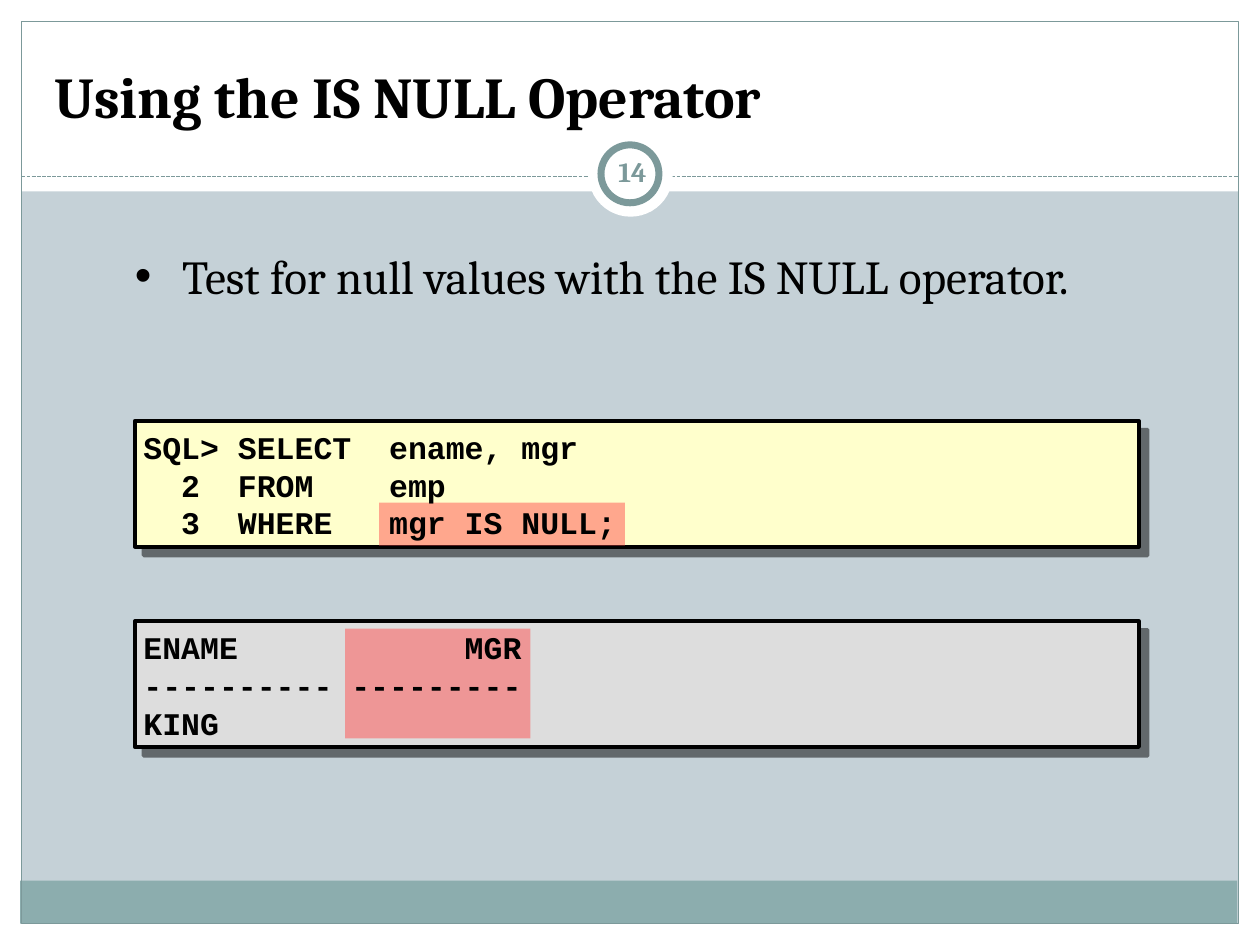
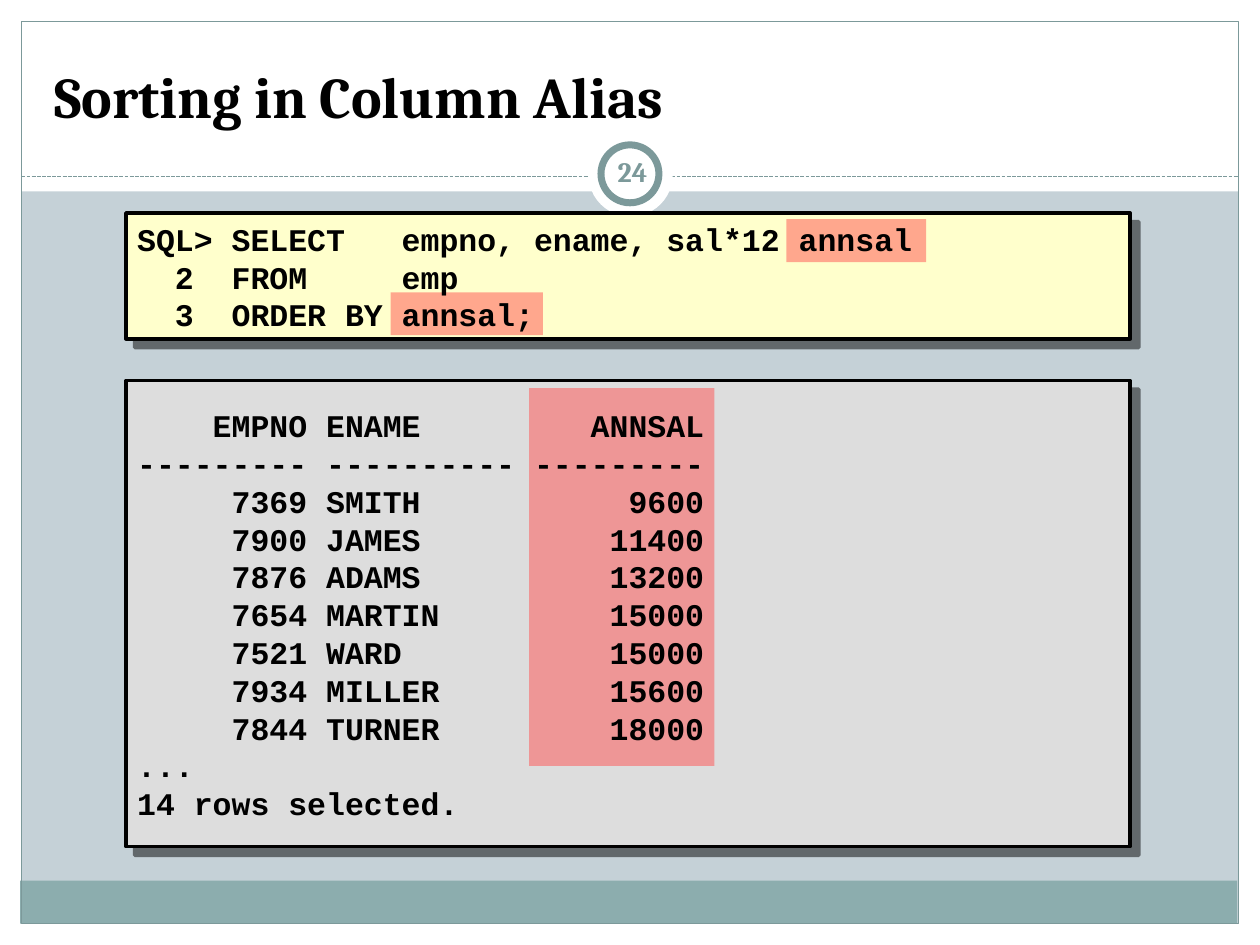
"""Build two SQL lesson slides: the IS NULL operator and sorting by a column alias."""
from lxml import etree
from pptx import Presentation
from pptx import util as u
from pptx.dml.color import RGBColor
from pptx.enum import dml, shapes, text
from pptx.oxml import ns

PAGE = RGBColor(0xC5, 0xD1, 0xD7)
WHITE = RGBColor(0xFF, 0xFF, 0xFF)
BLACK = RGBColor(0x00, 0x00, 0x00)
TEAL = RGBColor(0x7C, 0x99, 0x9A)
FOOTER = RGBColor(0x8C, 0xAD, 0xAE)
QUERY = RGBColor(0xFF, 0xFF, 0xCC)
RESULT = RGBColor(0xDD, 0xDD, 0xDD)
HIGHLIGHT = RGBColor(0xFF, 0x50, 0x50)
SERIF, MONO = "Cambria", "Courier New"
RECT, OVAL = shapes.MSO_SHAPE.RECTANGLE, shapes.MSO_SHAPE.OVAL
PANEL_WIDTH = 7.97


def add_block(slide, kind, box, fill=None, line=None, weight=0.75):
    block = slide.shapes.add_shape(kind, *map(u.Inches, box))
    block.shadow.inherit = False
    if fill is None:
        block.fill.background()
    else:
        block.fill.solid()
        block.fill.fore_color.rgb = fill
    if line is None:
        block.line.fill.background()
    else:
        block.line.color.rgb = line
        block.line.width = u.Pt(weight)
    return block


def write(frame, words, font, size, color, bold, anchor, align=text.PP_ALIGN.LEFT):
    frame.text = words
    frame.word_wrap = True
    frame.auto_size = text.MSO_AUTO_SIZE.NONE
    frame.vertical_anchor = anchor
    for paragraph in frame.paragraphs:
        paragraph.alignment = align
        paragraph.space_before = u.Pt(0)
        for run in paragraph.runs:
            run.font.name = font
            run.font.size = u.Pt(size)
            run.font.bold = bold
            run.font.color.rgb = color


lessons = [
    {
        "title": "Using the IS NULL Operator",
        "number": "14",
        "intro": "Test for null values with the IS NULL operator.",
        "panel_left": 1.07,
        "code_left": 1.04,
        "panels": [
            (3.34, 1, QUERY, [
                "SQL> SELECT  ename, mgr",
                "  2  FROM    emp",
                "  3  WHERE   mgr IS NULL;",
            ]),
            (4.93, 1, RESULT, [
                "ENAME            MGR",
                "---------- ---------",
                "KING",
            ]),
        ],
        "highlights": [(3.01, 3.99, 1.95, 0.34), (2.74, 4.99, 1.47, 0.87)],
    },
    {
        "title": "Sorting in Column Alias",
        "number": "24",
        "intro": None,
        "panel_left": 1,
        "code_left": 0.99,
        "panels": [
            (1.69, 1, QUERY, [
                "SQL> SELECT   empno, ename, sal*12 annsal",
                "  2  FROM     emp",
                "  3  ORDER BY annsal;",
            ]),
            (3.02, 3.7, RESULT, [
                "    EMPNO ENAME         ANNSAL",
                "--------- ---------- ---------",
                "     7369 SMITH           9600",
                "     7900 JAMES          11400",
                "     7876 ADAMS          13200",
                "     7654 MARTIN         15000",
                "     7521 WARD           15000",
                "     7934 MILLER         15600",
                "     7844 TURNER         18000",
                "...",
                "14 rows selected.",
            ]),
        ],
        "highlights": [(3.1, 2.32, 1.21, 0.34), (4.2, 3.08, 1.47, 3), (6.24, 1.74, 1.11, 0.34)],
    },
]

prs = Presentation()
prs.slide_width, prs.slide_height = u.Inches(10), u.Inches(7.5)
master = prs.slide_master
master.background.fill.solid()
master.background.fill.fore_color.rgb = PAGE
title_and_body, title_only = prs.slide_layouts[1], prs.slide_layouts[5]
pages = [prs.slides.add_slide(title_and_body if lesson["intro"] else title_only) for lesson in lessons]

first = pages[0]
for margin in [(0, 7.33, 10, 0.17), (0, 0, 10, 1.52), (0, 0, 0.17, 7.5), (9.83, 0, 0.17, 7.5)]:
    add_block(first, RECT, margin, WHITE)
add_block(first, RECT, (0.16, 6.99, 9.66, 0.34), FOOTER)
add_block(first, RECT, (0.17, 0.17, 9.66, 7.16), None, TEAL)
divider = first.shapes.add_connector(
    shapes.MSO_CONNECTOR.STRAIGHT, u.Inches(0.17), u.Inches(1.4), u.Inches(9.83), u.Inches(1.4))
divider.line.color.rgb = TEAL
divider.line.width = u.Pt(0.75)
divider.line.dash_style = dml.MSO_LINE.SQUARE_DOT
etree.SubElement(divider._element.spPr, ns.qn("a:effectLst"))
add_block(first, OVAL, (4.67, 1.05, 0.67, 0.67), WHITE)
add_block(first, OVAL, (4.77, 1.15, 0.46, 0.46), WHITE, TEAL, 4)

frame_parts = [part for part in first.shapes if not part.is_placeholder]
for part_id, part in enumerate(frame_parts, start=100):
    part._element.xpath(".//p:cNvPr")[0].set("id", str(part_id))
    master.shapes._spTree.append(part._element)

for page, lesson in zip(pages, lessons):
    title = page.shapes.title
    title.left, title.top, title.width, title.height = map(u.Inches, (0.33, 0.25, 9.33, 0.83))
    write(title.text_frame, lesson["title"], SERIF, 33, BLACK, True, text.MSO_ANCHOR.BOTTOM)

    if lesson["intro"]:
        intro = page.placeholders[1]
        intro.left, intro.top, intro.width, intro.height = map(u.Inches, (0.97, 1.91, 8.08, 0.99))
        intro_format = intro.text_frame.paragraphs[0]._p.get_or_add_pPr()
        intro_format.set("marL", "0")
        intro_format.set("indent", "0")
        etree.SubElement(intro_format, ns.qn("a:buNone"))
        write(intro.text_frame, lesson["intro"], SERIF, 27, BLACK, False, text.MSO_ANCHOR.TOP)

    for top, height, fill, lines in lesson["panels"]:
        panel = add_block(page, RECT, (lesson["panel_left"], top, PANEL_WIDTH, height), fill, BLACK, 2)
        effects = panel._element.spPr.find(ns.qn("a:effectLst"))
        shadow = etree.SubElement(effects, ns.qn("a:outerShdw"), dist=str(u.Pt(7.1)),
                                  dir="2700000", algn="ctr", rotWithShape="0")
        shade = etree.SubElement(shadow, ns.qn("a:srgbClr"), val=str(BLACK))
        etree.SubElement(shade, ns.qn("a:alpha"), val="50000")

    for box in lesson["highlights"]:
        highlight = add_block(page, RECT, box, HIGHLIGHT)
        tint = highlight._element.spPr.find(".//" + ns.qn("a:srgbClr"))
        etree.SubElement(tint, ns.qn("a:alpha"), val="50000")

    for top, height, fill, lines in lesson["panels"]:
        code = page.shapes.add_textbox(
            *map(u.Inches, (lesson["code_left"], top - 0.01, 8, height + 0.03)))
        write(code.text_frame, "\n".join(lines), MONO, 18, BLACK, True, text.MSO_ANCHOR.MIDDLE)

    number = page.shapes.add_textbox(*map(u.Inches, (4.77, 1.12, 0.5, 0.48)))
    number.text_frame.margin_left = number.text_frame.margin_right = u.Inches(0.05)
    write(number.text_frame, lesson["number"], SERIF, 16, TEAL, True,
          text.MSO_ANCHOR.MIDDLE, text.PP_ALIGN.CENTER)

prs.save("out.pptx")
